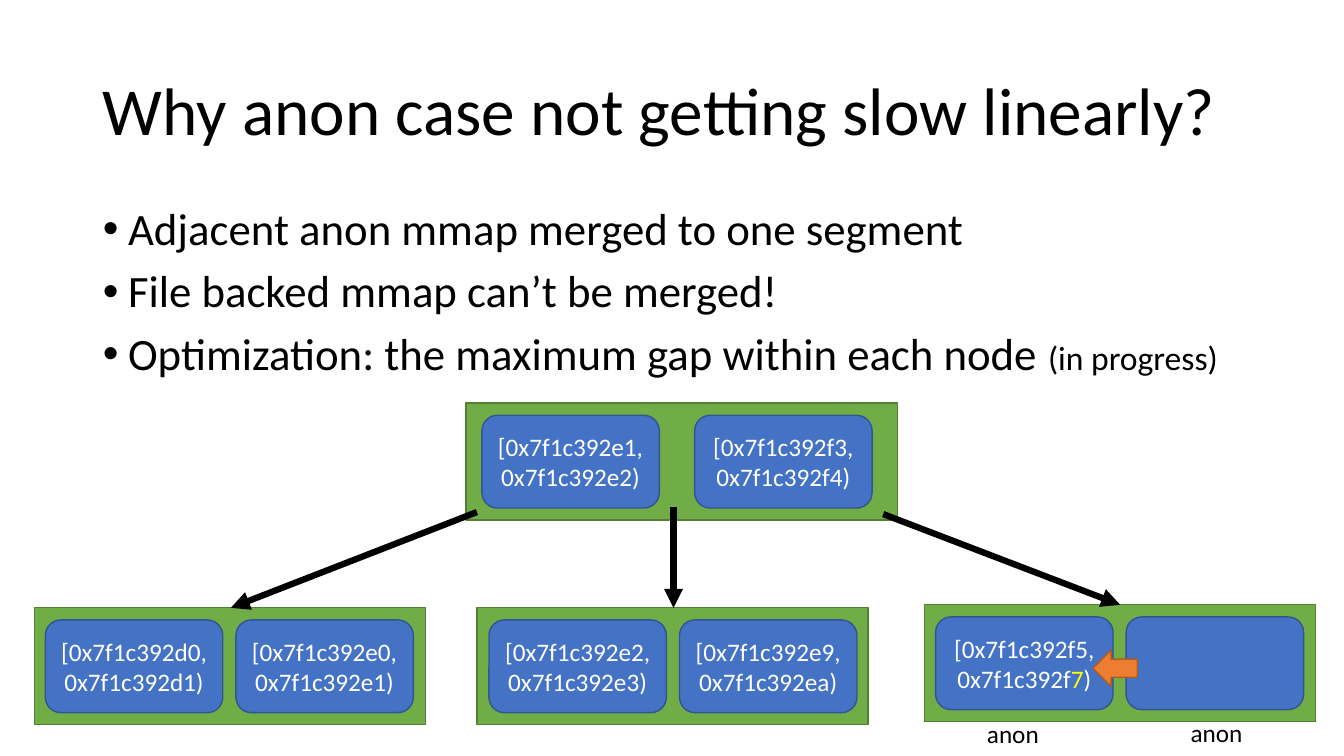
from lxml import etree
from pptx import Presentation
from pptx import util as u
from pptx.dml.color import RGBColor
from pptx.enum import shapes, text
from pptx.oxml import ns

PX = 9144  # EMU per px, 100 px to the inch
FONT = "Calibri"
BLACK = RGBColor(0x00, 0x00, 0x00)
WHITE = RGBColor(0xFF, 0xFF, 0xFF)
YELLOW = RGBColor(0xFF, 0xFF, 0x00)
GREEN = RGBColor(0x70, 0xAD, 0x47)
MOSS = RGBColor(0x53, 0x80, 0x35)
BLUE = RGBColor(0x44, 0x72, 0xC4)
NAVY = RGBColor(0x32, 0x54, 0x91)
ORANGE = RGBColor(0xED, 0x7D, 0x31)
RUST = RGBColor(0xAF, 0x5C, 0x24)
KIND = shapes.MSO_SHAPE
LEFT, MID = text.PP_ALIGN.LEFT, text.PP_ALIGN.CENTER
TOP, CENTER = text.MSO_ANCHOR.TOP, text.MSO_ANCHOR.MIDDLE

deck = Presentation()
deck.slide_width, deck.slide_height = 1333 * PX, 750 * PX
slide = deck.slides.add_slide(deck.slide_layouts[1])


def write(item, paras, size=18, color=BLACK, align=LEFT, anchor=TOP,
          space=1.0, before=0, bullet=False):
    """Each paragraph is a list of runs: (text, size or None, colour or None)."""
    frame = item.text_frame
    frame.word_wrap = True
    frame.auto_size = text.MSO_AUTO_SIZE.NONE
    frame.vertical_anchor = anchor
    for i, runs in enumerate(paras):
        para = frame.add_paragraph() if i else frame.paragraphs[0]
        para.alignment = align
        para.line_spacing = space
        para.space_before = u.Pt(before)
        if bullet:
            prop = para._p.get_or_add_pPr()
            prop.set("marL", str(25 * PX))
            prop.set("indent", str(-25 * PX))
            etree.SubElement(prop, ns.qn("a:buFont"), typeface="Arial")
            etree.SubElement(prop, ns.qn("a:buChar"), char="•")
        for words, own, tint in runs:
            run = para.add_run()
            run.text = words
            run.font.name = FONT
            run.font.size = u.Pt(own or size)
            run.font.color.rgb = tint or color


def draw(kind, x, y, w, h, fill, edge):
    item = slide.shapes.add_shape(kind, x * PX, y * PX, w * PX, h * PX)
    item.shadow.inherit = False
    item.fill.solid()
    item.fill.fore_color.rgb = fill
    item.line.color.rgb = edge
    item.line.width = u.Pt(1)
    return item


# Title and list
title, body = slide.placeholders
for item, y, h in ((title, 40, 145), (body, 200, 476)):
    item.left, item.top, item.width, item.height = 92 * PX, y * PX, 1150 * PX, h * PX
write(title, [[("Why anon case not getting slow linearly?", None, None)]],
      size=48, anchor=CENTER, space=0.9)
write(body, [
    [("Adjacent anon mmap merged to one segment", None, None)],
    [("File backed mmap can’t be merged!", None, None)],
    [("Optimization: the maximum gap within each node ", None, None),
     ("(in progress)", 24, None)],
], size=32, space=0.9, before=10, bullet=True)

# Tree nodes: left, top, width, then (offset, runs) for each segment
nodes = [
    (462, 400, 428, [(16, [("[0x7f1c392e1, 0x7f1c392e2)", None, None)]),
                     (227, [("[0x7f1c392f3, 0x7f1c392f4)", None, None)])]),
    (34, 603, 388, [(11, [("[0x7f1c392d0, 0x7f1c392d1)", None, None)]),
                    (200, [("[0x7f1c392e0, 0x7f1c392e1)", None, None)])]),
    (473, 603, 388, [(12, [("[0x7f1c392e2, 0x7f1c392e3)", None, None)]),
                     (201, [("[0x7f1c392e9, 0x7f1c392ea)", None, None)])]),
    (917, 600, 388, [(11, [("[0x7f1c392f5, 0x7f1c392f", None, None),
                           ("7", None, YELLOW), (")", None, None)]),
                     (200, [])]),
]
for x, y, w, segs in nodes:
    draw(KIND.RECTANGLE, x, y, w, 116, GREEN, MOSS)
    for dx, runs in segs:
        seg = draw(KIND.ROUNDED_RECTANGLE, x + dx, y + 12, 176, 92, BLUE, NAVY)
        write(seg, [runs], color=WHITE, align=MID, anchor=CENTER)

# Links from the root to its children
for x1, y1, x2, y2 in ((473, 508, 229, 603), (668, 503, 668, 603),
                       (876, 510, 1111, 600)):
    link = slide.shapes.add_connector(
        shapes.MSO_CONNECTOR.STRAIGHT, x1 * PX, y1 * PX, x2 * PX, y2 * PX)
    link.line.color.rgb = BLACK
    link.line.width = u.Pt(4.5)
    etree.SubElement(link.line._get_or_add_ln(), ns.qn("a:tailEnd"), type="triangle")
    etree.SubElement(link._element.spPr, ns.qn("a:effectLst"))

# Merge arrow and labels below the last node
draw(KIND.LEFT_ARROW, 1084, 645, 44, 36, ORANGE, RUST)
for x, y in ((969, 708), (1171, 707)):
    label = slide.shapes.add_textbox(x * PX, y * PX, 95 * PX, 40 * PX)
    write(label, [[("anon", None, None)]])

deck.save("out.pptx")
